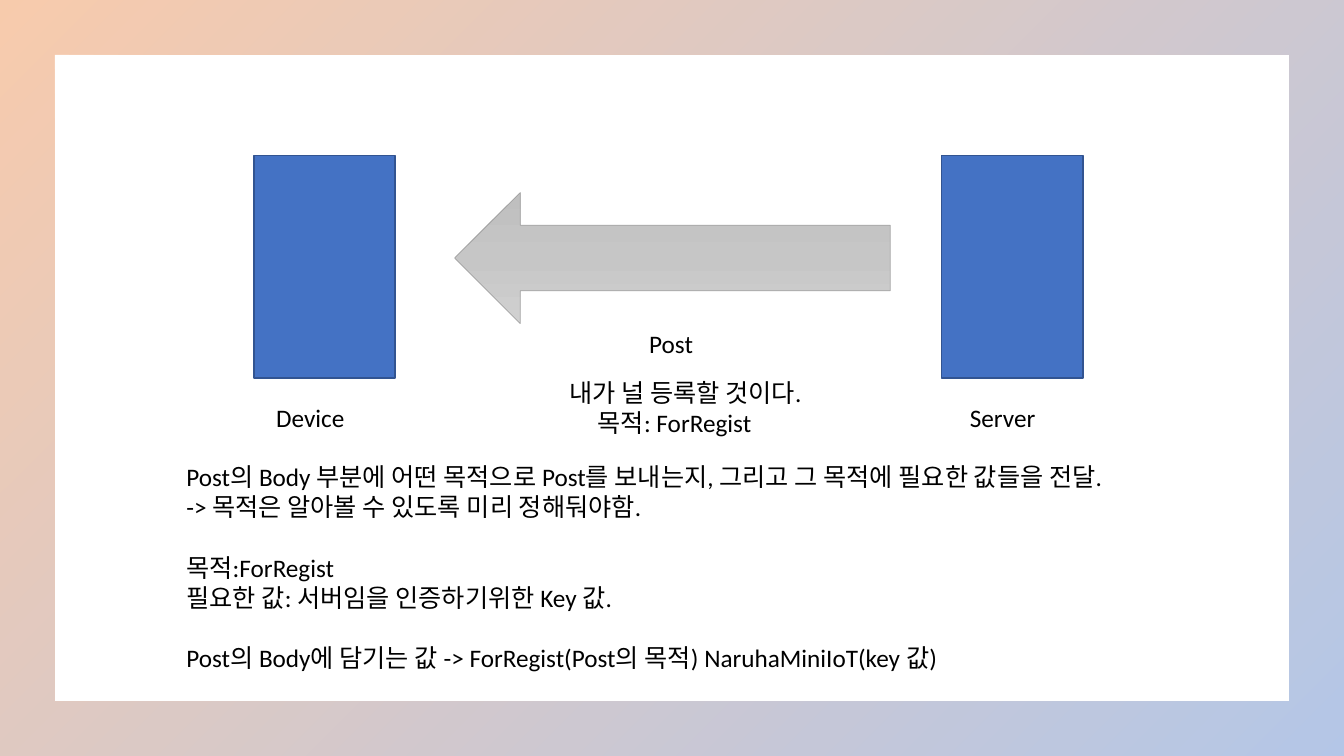
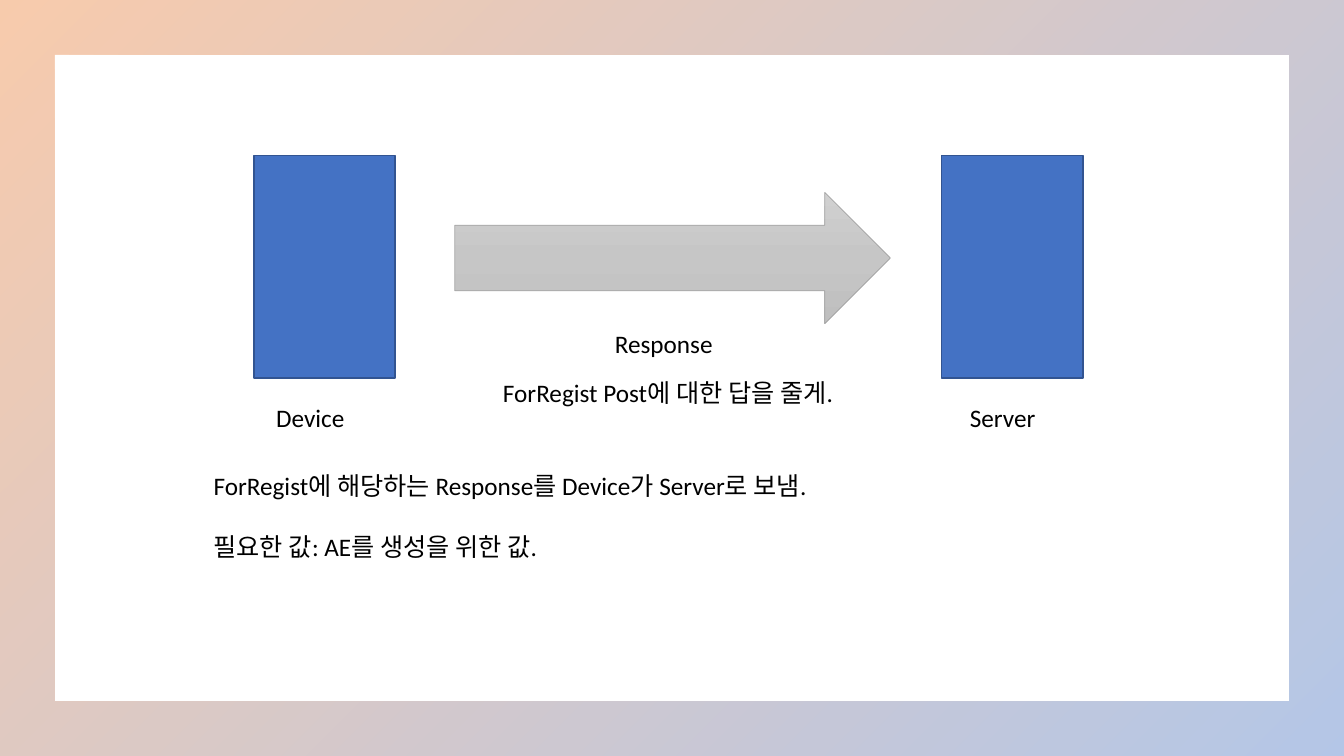
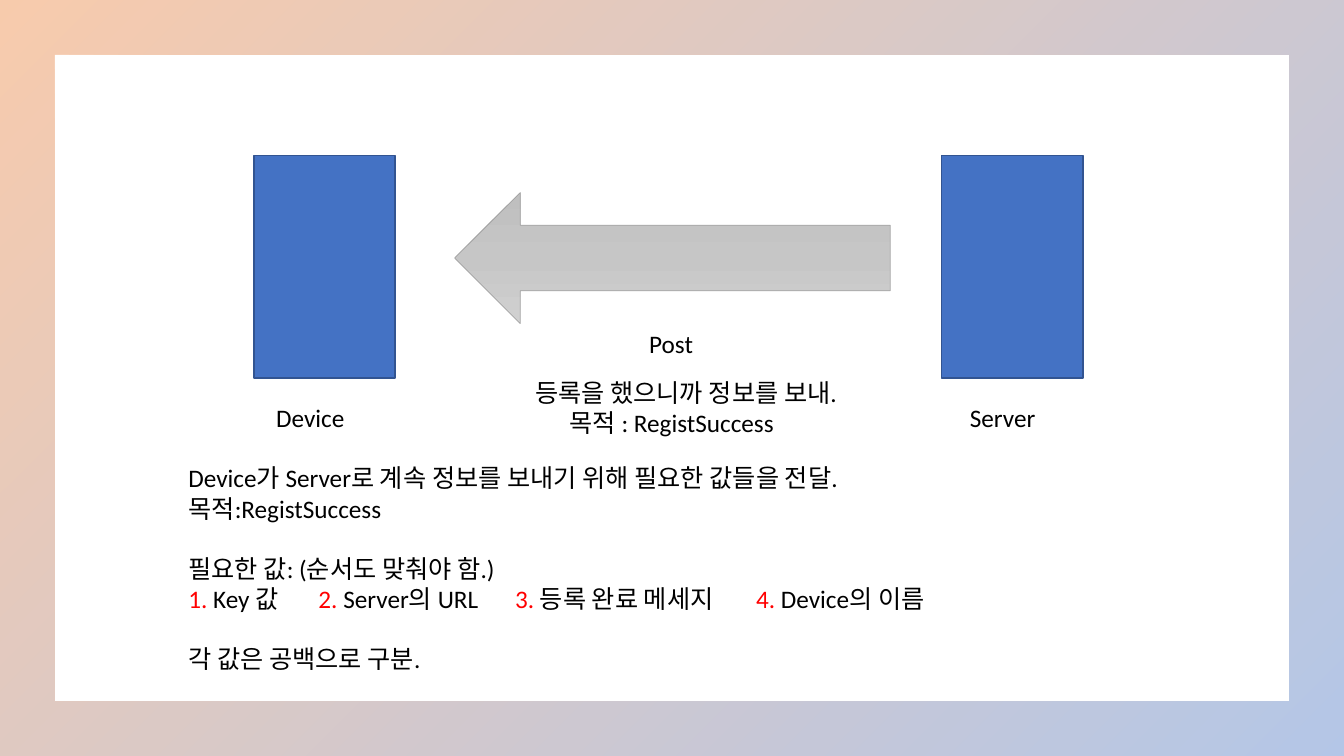
from lxml.etree import SubElement
from pptx import Presentation
from pptx.dml.color import RGBColor
from pptx.enum.shapes import MSO_SHAPE
from pptx.enum.text import MSO_AUTO_SIZE
from pptx.oxml.ns import qn
from pptx.util import Inches, Pt

BLACK = RGBColor(0, 0, 0)
RED = RGBColor(0xFF, 0, 0)
BLUE = RGBColor(0x44, 0x72, 0xC4)
NAVY = RGBColor(0x32, 0x54, 0x91)
ORANGE = RGBColor(0xED, 0x7D, 0x31)
GRAY = RGBColor(0xA3, 0xA3, 0xA3)
GRAYS = [RGBColor(v, v, v) for v in (0xD0, 0xC6, 0xBF)]

FONT = {"name": "Calibri", "size": Pt(18)}
LINE = Pt(21.5)
NODE_TOP, NODE_W, NODE_H = 1.54, 1.4, 2.21
LABEL_TOP, LABEL_W, LABEL_H = 3.94, 1.85, 0.4
NODES = [("Device", 2.52, 2.3), ("Server", 9.34, 9.18)]
ARROW = (4.51, 1.91, 4.32, 1.3)
TABS = (1.29, 3.24, 5.63)

VALUES = ["Key 값", "Server의 URL", "등록 완료 메세지", "Device의 이름"]
NUMBERED = []
for n, value in enumerate(VALUES, 1):
    NUMBERED += [(f"{n}. ", RED), (value + ("\t" if n < len(VALUES) else ""), BLACK)]

SLIDES = [
    {
        "rotation": 180,
        "verb": ("Post", 0.45),
        "note_left": 5.16,
        "note": [("내가 널 등록할 것이다.", 0.39), ("목적: ForRegist", 0.67)],
        "body_at": (1.75, 4.53),
        "body": [
            ["Post의 Body 부분에 어떤 목적으로 Post를 보내는지, 그리고 그 목적에 필요한 값들을 전달.",
             "-> 목적은 알아볼 수 있도록 미리 정해둬야함."],
            ["목적:ForRegist", "필요한 값: 서버임을 인증하기위한 Key 값."],
            ["Post의 Body에 담기는 값 -> ForRegist(Post의 목적) NaruhaMiniIoT(key 값)"],
        ],
    },
    {
        "rotation": 0,
        "verb": ("Response", 0.11),
        "note_left": 4.84,
        "note": [("ForRegist Post에 대한 답을 줄게.", 0.05)],
        "body_at": (2.02, 4.62),
        "body": [
            ["ForRegist에 해당하는 Response를 Device가 Server로 보냄."],
            ["필요한 값: AE를 생성을 위한 값."],
        ],
    },
    {
        "rotation": 180,
        "verb": ("Post", 0.45),
        "note_left": 5.16,
        "note": [("등록을 했으니까 정보를 보내.", 0.05), ("목적 : RegistSuccess", 0.39)],
        "body_at": (1.77, 4.54),
        "body": [
            ["Device가 Server로 계속 정보를 보내기 위해 필요한 값들을 전달.",
             "목적:RegistSuccess"],
            ["필요한 값: (순서도 맞춰야 함.)", NUMBERED],
            ["각 값은 공백으로 구분."],
        ],
    },
]


def add_shape(s, kind, box, line=None, width=1):
    sp = s.shapes.add_shape(kind, *map(Inches, box))
    sp.shadow.inherit = False
    if line is None:
        sp.line.fill.background()
    else:
        sp.line.color.rgb = line
        sp.line.width = Pt(width)
    return sp


def set_gradient(sp, colors, angle, alpha=100):
    sp.fill.gradient()
    stops = sp.element.find(".//" + qn("a:gsLst"))
    for stop in list(stops):
        stops.remove(stop)
    for i, color in enumerate(colors):
        stop = SubElement(stops, qn("a:gs"), pos=str(i * 100000 // (len(colors) - 1)))
        clr = SubElement(stop, qn("a:srgbClr"), val=str(color))
        if alpha < 100:
            SubElement(clr, qn("a:alpha"), val=str(alpha * 1000))
    sp.element.find(".//" + qn("a:lin")).set("ang", str(angle * 60000))


def add_text(s, box, lines):
    tf = s.shapes.add_textbox(*map(Inches, box)).text_frame
    tf.word_wrap = True
    tf.auto_size = MSO_AUTO_SIZE.SHAPE_TO_FIT_TEXT
    for i, (text, indent, gap) in enumerate(lines):
        p = tf.add_paragraph() if i else tf.paragraphs[0]
        p.space_before = gap
        pPr = p._p.get_or_add_pPr()
        pPr.set("marL", str(Inches(indent)))
        if not isinstance(text, str):
            tabs = SubElement(pPr, qn("a:tabLst"))
            for pos in TABS:
                SubElement(tabs, qn("a:tab"), pos=str(Inches(pos)), algn="l")
        for part, color in [(text, BLACK)] if isinstance(text, str) else text:
            r = p.add_run()
            r.text = part
            r.font.color.rgb = color
            for key, val in FONT.items():
                setattr(r.font, key, val)


def add_frame(s, layout, prs):
    size = (prs.slide_width.inches, prs.slide_height.inches)
    frame = add_shape(s, MSO_SHAPE.FRAME, (0, 0, *size))
    frame.adjustments[0] = 0.072
    set_gradient(frame, [ORANGE, BLUE], 45, 40)
    layout.shapes.element.append(frame.element)


def build_slide(s, data):
    for name, left, label_left in NODES:
        node = add_shape(s, MSO_SHAPE.RECTANGLE, (left, NODE_TOP, NODE_W, NODE_H), NAVY)
        node.fill.solid()
        node.fill.fore_color.rgb = BLUE
        add_text(s, (label_left, LABEL_TOP, LABEL_W, LABEL_H), [(name, 0.34, 0)])
    arrow = add_shape(s, MSO_SHAPE.RIGHT_ARROW, ARROW, GRAY, 0.5)
    arrow.rotation = data["rotation"]
    set_gradient(arrow, GRAYS, 90)
    add_text(s, (5.89, 3.21, LABEL_W, LABEL_H), [(*data["verb"], 0)])
    left = data["note_left"]
    note = [(text, indent, 0) for text, indent in data["note"]]
    add_text(s, (left, 3.69, 8.75 - left, 0.1 + 0.3 * len(note)), note)
    body = [(text, 0, LINE if g and not i else 0)
            for g, group in enumerate(data["body"]) for i, text in enumerate(group)]
    rows = len(body) + len(data["body"]) - 1
    add_text(s, (*data["body_at"], 10.01, 0.1 + 0.3 * rows), body)


def main():
    prs = Presentation()
    prs.slide_width, prs.slide_height = Inches(13.33), Inches(7.5)
    layout = prs.slide_layouts[6]
    for i, data in enumerate(SLIDES):
        s = prs.slides.add_slide(layout)
        if i == 0:
            add_frame(s, layout, prs)
        build_slide(s, data)
    prs.save("out.pptx")


if __name__ == "__main__":
    main()
